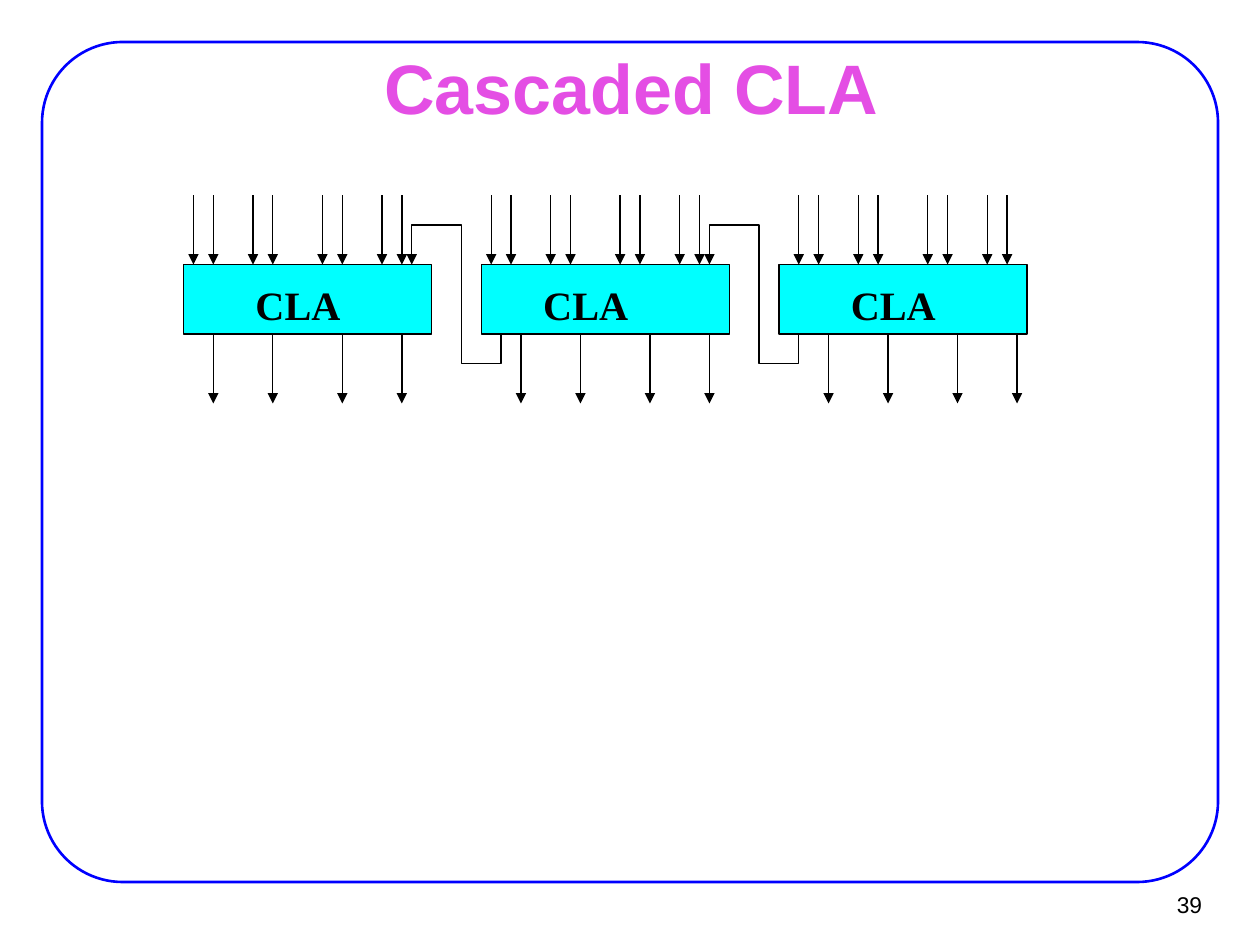
import pptx
import pptx.dml.color
import pptx.enum.shapes
import pptx.enum.text
import pptx.util
import lxml.etree

Pt = pptx.util.Pt
RGB = pptx.dml.color.RGBColor.from_string
SHAPE = pptx.enum.shapes.MSO_SHAPE
ALIGN = pptx.enum.text.PP_ALIGN
ANCHOR = pptx.enum.text.MSO_ANCHOR

THEME = {
    "frame": "0000FF", "title": "E44EE4", "block": "00FFFF", "ink": "000000",
    "sans": "Arial", "serif": "Times New Roman",
    "title_size": 40, "label_size": 23, "number_size": 13,
    "frame_width": 1.5, "wire_width": 0.74,
}

deck = pptx.Presentation()
deck.slide_width, deck.slide_height = Pt(720), Pt(540)
slide = deck.slides.add_slide(deck.slide_layouts[6])
shapes = slide.shapes


def add_text(text, left, top, width, height, size, font, color=THEME["ink"],
             bold=False, align=ALIGN.LEFT, anchor=ANCHOR.MIDDLE, wrap=True,
             inset=(7.2, 3.6)):
    box = shapes.add_textbox(Pt(left), Pt(top), Pt(width), Pt(height))
    frame = box.text_frame
    frame.word_wrap = wrap
    frame.vertical_anchor = anchor
    frame.margin_left = frame.margin_right = Pt(inset[0])
    frame.margin_top = frame.margin_bottom = Pt(inset[1])
    paragraph = frame.paragraphs[0]
    paragraph.alignment = align
    run = paragraph.add_run()
    run.text = text
    run.font.size, run.font.name, run.font.bold = Pt(size), font, bold
    run.font.color.rgb = RGB(color)


def style_wire(wire):
    wire.line.color.rgb = RGB(THEME["ink"])
    wire.line.width = Pt(THEME["wire_width"])
    namespace = "{http://schemas.openxmlformats.org/drawingml/2006/main}"
    lxml.etree.SubElement(wire.line._get_or_add_ln(), namespace + "tailEnd", type="triangle")
    properties = wire._element.spPr
    if properties.find(namespace + "effectLst") is None:
        lxml.etree.SubElement(properties, namespace + "effectLst")


border = shapes.add_shape(SHAPE.ROUNDED_RECTANGLE, Pt(24), Pt(24), Pt(672), Pt(480))
border.adjustments[0] = 0.096
border.shadow.inherit = False
border.fill.background()
border.line.color.rgb = RGB(THEME["frame"])
border.line.width = Pt(THEME["frame_width"])

add_text("39", 649.4, 503.3, 44, 26.6, THEME["number_size"], THEME["sans"],
         align=ALIGN.RIGHT, wrap=False, inset=(6.5, 3))
add_text("Cascaded CLA", 54.7, 31.7, 612, 35.3, THEME["title_size"], THEME["sans"],
         color=THEME["title"], bold=True, align=ALIGN.CENTER, inset=(7.9, 4.3))

GRID = 5.67
LEFT, TOP = 104.9, 151.2
BLOCK_WIDTH, BLOCK_HEIGHT, BLOCK_PITCH = 25, 7, 30
BIT_OFFSETS = (0, 6, 13, 19)
OPERAND_GAP = 2
WIRE_LENGTH = 7
CARRY_ROUTE = ((32, 7), (32, 10), (28, 10), (28, -4), (23, -4), (23, 0))
BLOCKS = ((1, 3, 6), (31, 34, 35), (62, 65, 66))

for index in range(len(BLOCKS)):
    adder = shapes.add_shape(SHAPE.RECTANGLE, Pt(LEFT + index * BLOCK_PITCH * GRID), Pt(TOP),
                             Pt(BLOCK_WIDTH * GRID), Pt(BLOCK_HEIGHT * GRID))
    adder.shadow.inherit = False
    adder.fill.solid()
    adder.fill.fore_color.rgb = RGB(THEME["block"])
    adder.line.color.rgb = RGB(THEME["ink"])
    adder.line.width = Pt(THEME["wire_width"])

for index in range(len(BLOCKS) - 1):
    route = [(Pt(LEFT + (column + index * BLOCK_PITCH) * GRID), Pt(TOP + row * GRID))
             for column, row in CARRY_ROUTE]
    builder = shapes.build_freeform(*route[0])
    builder.add_line_segments(route[1:], close=False)
    carry = builder.convert_to_shape()
    carry.shadow.inherit = False
    carry.fill.background()
    style_wire(carry)

for input_start, output_start, label_start in BLOCKS:
    inputs = [(input_start + bit + operand, -WIRE_LENGTH)
              for bit in BIT_OFFSETS for operand in (0, OPERAND_GAP)]
    outputs = [(output_start + bit, BLOCK_HEIGHT) for bit in BIT_OFFSETS]
    for column, row in inputs + outputs:
        x, y = LEFT + column * GRID, TOP + row * GRID
        signal = shapes.add_connector(pptx.enum.shapes.MSO_CONNECTOR.STRAIGHT,
                                      Pt(x), Pt(y), Pt(x), Pt(y + WIRE_LENGTH * GRID))
        style_wire(signal)
    add_text("CLA", LEFT + label_start * GRID, TOP + GRID, 96.5, 35.3,
             THEME["label_size"], THEME["serif"], bold=True, anchor=ANCHOR.TOP)

deck.save("out.pptx")
